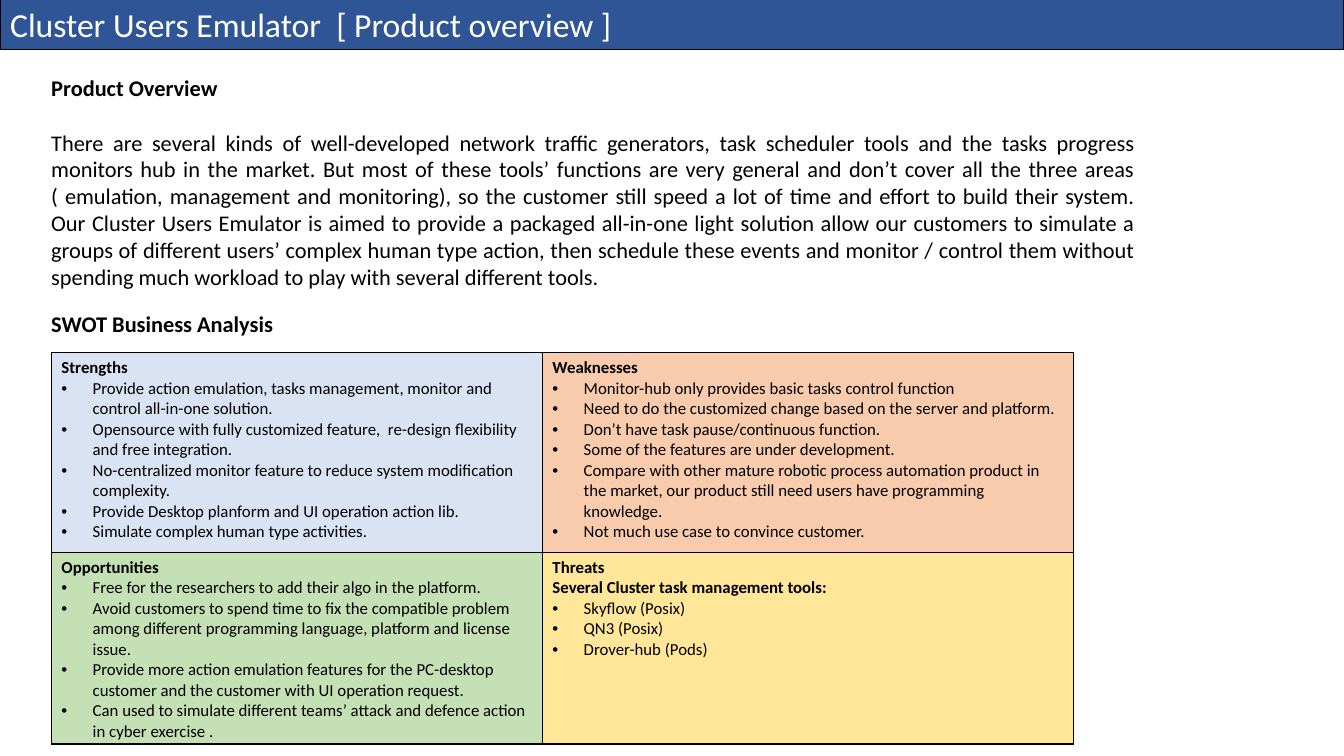
from lxml import etree
from pptx import Presentation
from pptx import util as u
from pptx.dml.color import RGBColor
from pptx.enum import text
from pptx.oxml.ns import qn

FONT = "Calibri"
COLORS = {
    "banner": "2F5597",
    "white": "FFFFFF",
    "black": "000000",
    "strengths": "DAE3F3",
    "weaknesses": "F8CBAD",
    "opportunities": "C5E0B4",
    "threats": "FFE699",
}
OVERVIEW = (
    "There are several kinds of well-developed network traffic generators, task scheduler tools "
    "and the tasks progress monitors hub in the market. But most of these tools’ functions are "
    "very general and don’t cover all the three areas ( emulation, management and monitoring), "
    "so the customer still speed a lot of time and effort to build their system. Our Cluster "
    "Users Emulator is aimed to provide a packaged all-in-one light solution allow our customers "
    "to simulate a groups of different users’ complex human type action, then schedule these "
    "events and monitor / control them without spending much workload to play with several "
    "different tools."
)
SWOT = [
    [
        ("strengths", ["Strengths"], [
            "Provide action emulation, tasks management, monitor and control all-in-one solution.",
            "Opensource with fully customized feature,  re-design flexibility and free integration.",
            "No-centralized monitor feature to reduce system modification complexity.",
            "Provide Desktop planform and UI operation action lib.",
            "Simulate complex human type activities.",
        ]),
        ("weaknesses", ["Weaknesses"], [
            "Monitor-hub only provides basic tasks control function",
            "Need to do the customized change based on the server and platform.",
            "Don’t have task pause/continuous function.",
            "Some of the features are under development.",
            "Compare with other mature robotic process automation product in the market, "
            "our product still need users have programming knowledge.",
            "Not much use case to convince customer.",
        ]),
    ],
    [
        ("opportunities", ["Opportunities"], [
            "Free for the researchers to add their algo in the platform.",
            "Avoid customers to spend time to fix the compatible problem among different "
            "programming language, platform and license issue.",
            "Provide more action emulation features for the PC-desktop customer and the "
            "customer with UI operation request.",
            "Can used to simulate different teams’ attack and defence action in cyber exercise .",
        ]),
        ("threats", ["Threats", "Several Cluster task management tools:"], [
            "Skyflow (Posix)",
            "QN3 (Posix)",
            "Drover-hub (Pods)",
        ]),
    ],
]


def color(name):
    return RGBColor.from_string(COLORS[name])


def write(para, words, size, bold=False, ink="black"):
    para.text = words
    for span in para.runs:
        span.font.name = FONT
        span.font.size = u.Pt(size)
        span.font.bold = bold
        span.font.color.rgb = color(ink)


def add_banner(page, box):
    banner = page.shapes.title
    banner.left, banner.top, banner.width, banner.height = map(u.Inches, box)
    banner.fill.solid()
    banner.fill.fore_color.rgb = color("banner")
    banner.line.color.rgb = color("black")
    banner.line.width = u.Pt(0.75)
    frame = banner.text_frame
    frame.auto_size = text.MSO_AUTO_SIZE.NONE
    frame.vertical_anchor = text.MSO_ANCHOR.MIDDLE
    para = frame.paragraphs[0]
    write(para, "Cluster Users Emulator  [ Product overview ]", 24, ink="white")
    para.alignment = text.PP_ALIGN.LEFT


def add_text(page, box, heading, body=None):
    frame = page.shapes.add_textbox(*map(u.Inches, box)).text_frame
    frame.word_wrap = True
    para = frame.paragraphs[0]
    write(para, heading, 16, bold=True)
    if body:
        para.space_after = u.Pt(19.5)
        para = frame.add_paragraph()
        write(para, body, 16)
        para.alignment = text.PP_ALIGN.JUSTIFY


def add_bullet(para):
    properties = para._p.get_or_add_pPr()
    indent = u.Inches(0.31)
    properties.set("marL", str(indent))
    properties.set("indent", str(-indent))
    etree.SubElement(properties, qn("a:buFont"), typeface="Arial")
    etree.SubElement(properties, qn("a:buChar"), char="•")


def add_borders(cell):
    properties = cell._tc.get_or_add_tcPr()
    for side in ("lnL", "lnR", "lnT", "lnB"):
        line = etree.SubElement(properties, qn(f"a:{side}"), w=str(u.Pt(1)))
        fill = etree.SubElement(line, qn("a:solidFill"))
        etree.SubElement(fill, qn("a:srgbClr"), val=COLORS["black"])


def fill_cell(cell, fill, headings, points):
    add_borders(cell)
    cell.fill.solid()
    cell.fill.fore_color.rgb = color(fill)
    frame = cell.text_frame
    for index, words in enumerate(headings + points):
        para = frame.add_paragraph() if index else frame.paragraphs[0]
        is_heading = index < len(headings)
        write(para, words, 12, bold=is_heading)
        if not is_heading:
            add_bullet(para)


def add_swot(page, box, column_widths, row_heights):
    table = page.shapes.add_table(len(SWOT), len(SWOT[0]), *map(u.Inches, box)).table
    table.first_row = table.horz_banding = False
    for column, width in zip(table.columns, column_widths):
        column.width = u.Inches(width)
    for row, height in zip(table.rows, row_heights):
        row.height = u.Inches(height)
    for row, quadrants in zip(table.rows, SWOT):
        for cell, quadrant in zip(row.cells, quadrants):
            fill_cell(cell, *quadrant)


def main():
    deck = Presentation()
    deck.slide_width, deck.slide_height = u.Inches(13.33), u.Inches(7.5)
    page = deck.slides.add_slide(deck.slide_layouts[5])
    add_banner(page, (0, -0.01, 13.33, 0.5))
    add_text(page, (0.41, 0.69, 10.95, 2.26), "Product Overview", OVERVIEW)
    add_swot(page, (0.51, 3.5, 10.14, 3.88), (4.87, 5.27), (1.98, 1.9))
    add_text(page, (0.41, 3.03, 3.94, 0.37), "SWOT Business Analysis")
    deck.save("out.pptx")


if __name__ == "__main__":
    main()
